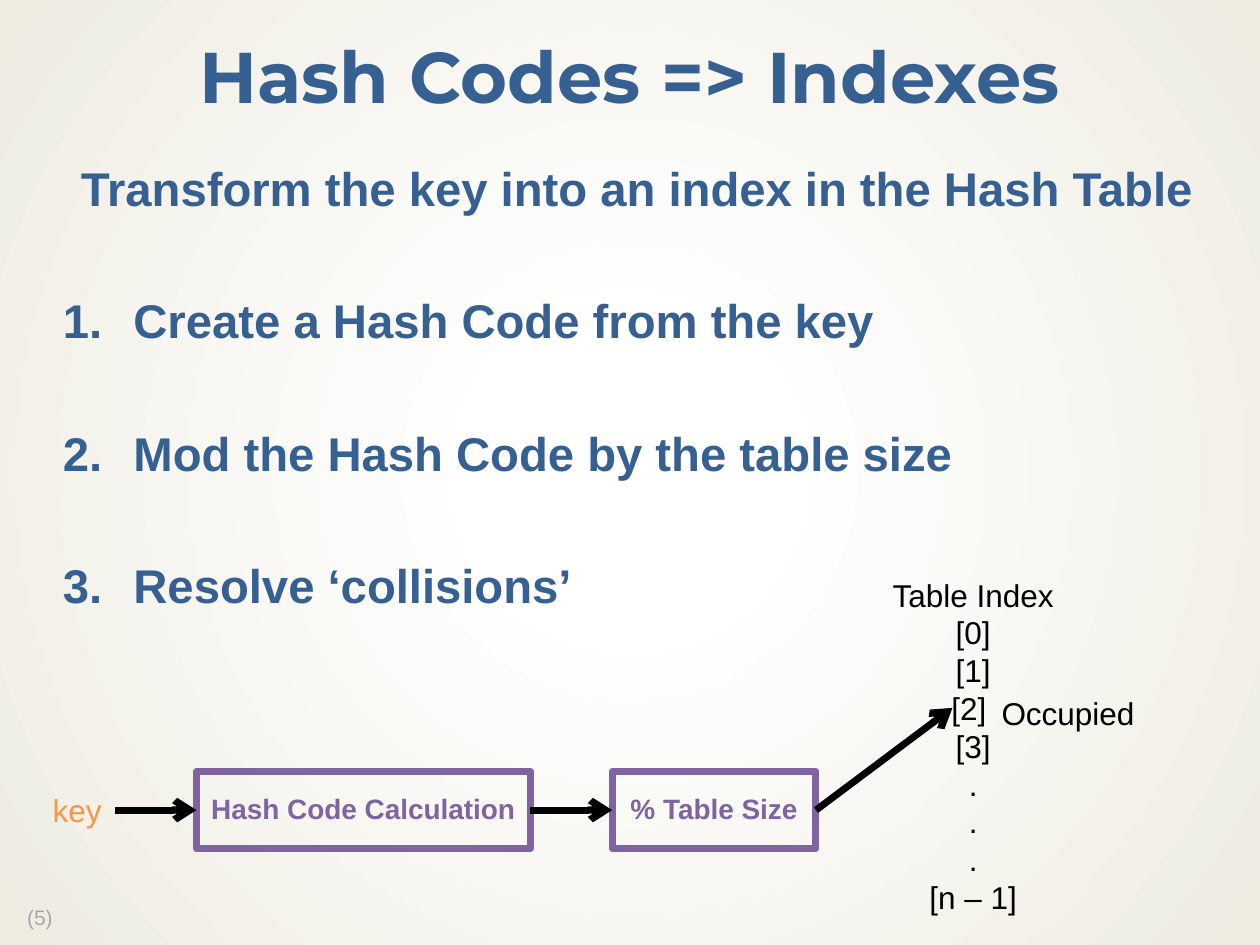
from pptx import Presentation
from pptx.dml.color import RGBColor
from pptx.enum.shapes import MSO_CONNECTOR, MSO_SHAPE
from pptx.enum.text import MSO_ANCHOR, MSO_AUTO_SIZE, PP_ALIGN
from pptx.oxml import parse_xml
from pptx.oxml.ns import nsdecls
from pptx.oxml.xmlchemy import OxmlElement
from pptx.util import Cm, Pt

BLUE = RGBColor(0x37, 0x60, 0x92)
PURPLE = RGBColor(0x80, 0x64, 0xA2)
ORANGE = RGBColor(0xF7, 0x96, 0x46)
GRAY = RGBColor(0xA6, 0xA6, 0xA6)
BLACK = RGBColor(0, 0, 0)

HEADING = {"name": "Montserrat", "size": Pt(41), "bold": True, "color": BLUE}
BODY = {"name": "Arial", "size": Pt(27), "bold": True, "color": BLUE}
BOX = {"name": "Arial", "size": Pt(16), "bold": True, "color": PURPLE}
LABEL = {"name": "Arial", "size": Pt(18), "color": BLACK}
KEY = {**LABEL, "color": ORANGE}
FOOTER = {"name": "Arial", "size": Pt(12), "color": GRAY}

CENTERED = {"alignment": PP_ALIGN.CENTER, "line_spacing": 0.9}
LABEL_LINE = {"line_spacing": Pt(21.6)}
INDEX_LINE = {**LABEL_LINE, "alignment": PP_ALIGN.CENTER}
BODY_LINE = {"line_spacing": 0.9}
STEP_LINE = {**BODY_LINE, "space_before": Pt(46.6)}

STEPS = [
    "Create a Hash Code from the key",
    "Mod the Hash Code by the table size",
    "Resolve ‘collisions’",
]
INDEXES = ["Table Index", "[0]", "[1]", "[2] ", "[3]", ".", ".", ".", "[n – 1]"]


def apply_format(target, values):
    for name, value in values.items():
        if name == "color":
            target.color.rgb = value
        else:
            setattr(target, name, value)


def write_paragraph(paragraph, text, font, layout):
    apply_format(paragraph, layout)
    run = paragraph.add_run()
    run.text = text
    apply_format(run.font, font)


def write_lines(text_frame, lines, font, layout):
    for number, line in enumerate(lines):
        paragraph = text_frame.add_paragraph() if number else text_frame.paragraphs[0]
        write_paragraph(paragraph, line, font, layout)


def add_text(slide, position, lines, font, layout, **frame_format):
    shape = slide.shapes.add_textbox(*map(Cm, position))
    apply_format(shape.text_frame, {"word_wrap": True, **frame_format})
    write_lines(shape.text_frame, lines, font, layout)
    return shape


def add_label(slide, position, lines, font, layout):
    return add_text(slide, position, lines, font, layout,
                    word_wrap=False, auto_size=MSO_AUTO_SIZE.SHAPE_TO_FIT_TEXT)


def add_box(slide, position, text):
    shape = slide.shapes.add_shape(MSO_SHAPE.RECTANGLE, *map(Cm, position))
    shape.shadow.inherit = False
    shape.fill.background()
    apply_format(shape.line, {"color": PURPLE, "width": Pt(4)})
    apply_format(shape.text_frame, {"word_wrap": True, "vertical_anchor": MSO_ANCHOR.MIDDLE})
    write_lines(shape.text_frame, [text], BOX, CENTERED)
    return shape


def add_arrow(slide, source, target=None, end=(0, 0)):
    connector = slide.shapes.add_connector(MSO_CONNECTOR.STRAIGHT, 0, 0, *map(Cm, end))
    connector.begin_connect(source, 3)
    if target is not None:
        connector.end_connect(target, 1)
    apply_format(connector.line, {"color": BLACK, "width": Pt(4)})
    head = OxmlElement("a:tailEnd")
    head.set("type", "arrow")
    connector.line._get_or_add_ln().append(head)
    connector._element.spPr.append(OxmlElement("a:effectLst"))


def indent_paragraph(paragraph, indent, numbered=False):
    properties = paragraph._p.get_or_add_pPr()
    properties.set("marL", str(Cm(indent)))
    properties.set("indent", str(-Cm(indent) if numbered else 0))
    if numbered:
        bullet = OxmlElement("a:buAutoNum")
        bullet.set("type", "arabicPeriod")
        properties.append(bullet)


def add_body(slide):
    shape = add_text(slide, (0.97, 3.18, 23.5, 14.35),
                     ["Transform the key into an index in the Hash Table"], BODY, BODY_LINE,
                     margin_left=Cm(0.3), margin_right=Cm(0.3),
                     margin_top=Cm(0.15), margin_bottom=Cm(0.15))
    indent_paragraph(shape.text_frame.paragraphs[0], 0.36)
    for step in STEPS:
        paragraph = shape.text_frame.add_paragraph()
        write_paragraph(paragraph, step, BODY, STEP_LINE)
        indent_paragraph(paragraph, 1.42, numbered=True)


def set_background(slide):
    slide.element.cSld.insert(0, parse_xml(
        f'<p:bg {nsdecls("p", "a")}><p:bgPr><a:gradFill rotWithShape="1"><a:gsLst>'
        '<a:gs pos="18000"><a:srgbClr val="FFFFFF"><a:alpha val="53000"/></a:srgbClr></a:gs>'
        '<a:gs pos="100000"><a:srgbClr val="EEECE1"/></a:gs></a:gsLst>'
        '<a:path path="circle"><a:fillToRect l="50000" t="50000" r="50000" b="50000"/></a:path>'
        '</a:gradFill><a:effectLst/></p:bgPr></p:bg>'))


def main():
    presentation = Presentation()
    presentation.slide_width, presentation.slide_height = Cm(25.4), Cm(19.05)
    slide = presentation.slides.add_slide(presentation.slide_layouts[6])
    set_background(slide)

    add_label(slide, (0.18, 18.16, 1.42, 0.71), [" (5)"], FOOTER, BODY_LINE)
    add_text(slide, (0, 0.43, 25.4, 2.39), ["Hash Codes => Indexes"], HEADING, CENTERED,
             vertical_anchor=MSO_ANCHOR.MIDDLE)
    add_body(slide)

    key = add_label(slide, (0.81, 15.82, 1.5, 1.02), ["key"], KEY, LABEL_LINE)
    calculation = add_box(slide, (3.96, 15.55, 6.73, 1.56), "Hash Code Calculation")
    modulo = add_box(slide, (12.34, 15.55, 4.11, 1.56), "% Table Size")
    add_label(slide, (17.73, 11.48, 3.78, 7.19), INDEXES, LABEL, INDEX_LINE)
    add_label(slide, (19.94, 13.87, 3.23, 1.02), ["Occupied"], LABEL, LABEL_LINE)

    add_arrow(slide, key, calculation)
    add_arrow(slide, calculation, modulo)
    add_arrow(slide, modulo, end=(19.2, 14.27))

    presentation.save("out.pptx")


if __name__ == "__main__":
    main()
